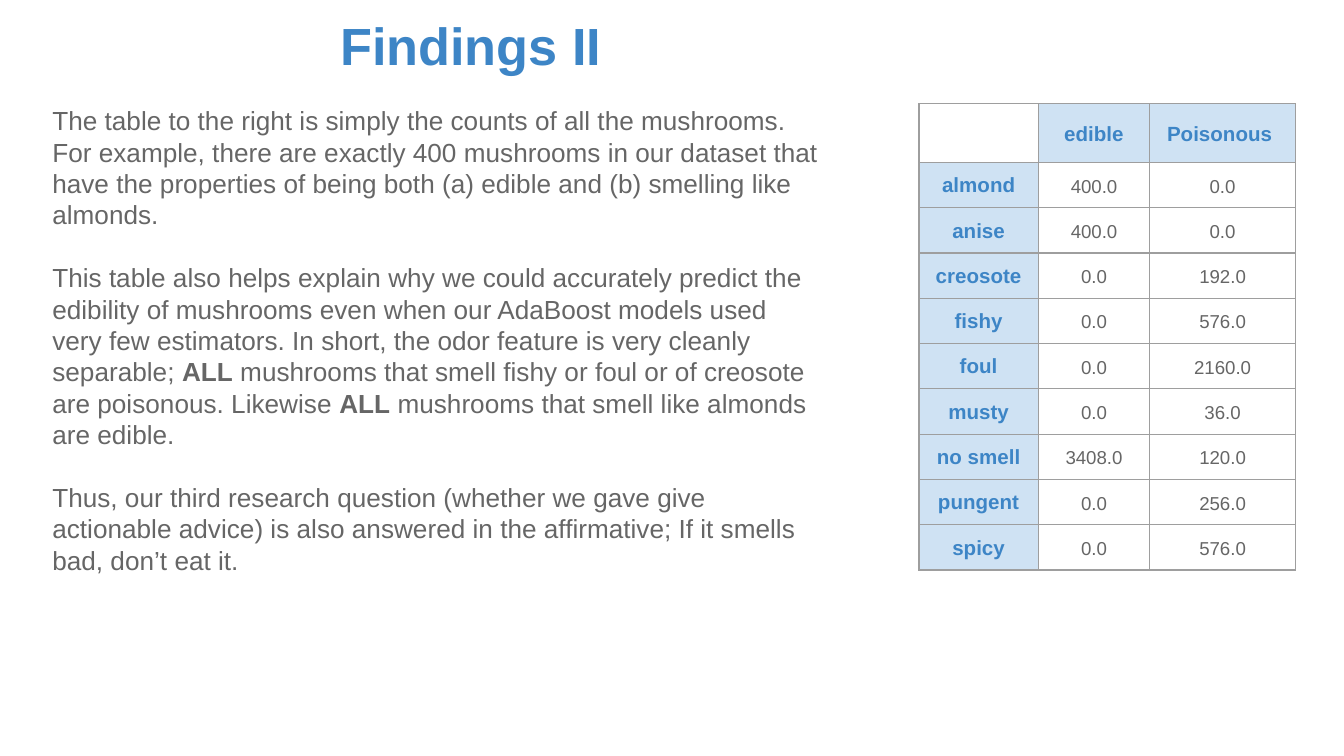
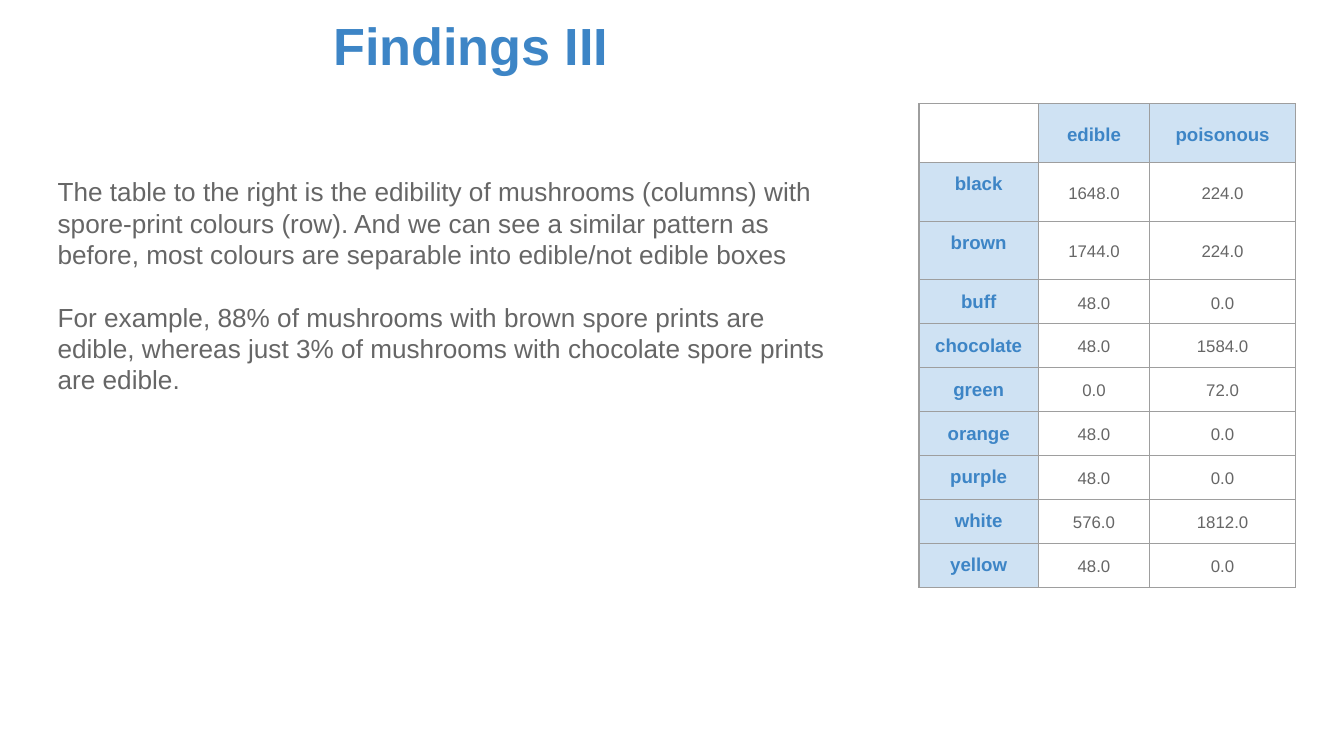
import dataclasses

import lxml.etree
import pptx
import pptx.dml.color
import pptx.enum.text
import pptx.oxml.ns
import pptx.util

Cm = pptx.util.Cm
Pt = pptx.util.Pt
PP_ALIGN = pptx.enum.text.PP_ALIGN
ANCHOR = pptx.enum.text.MSO_ANCHOR

FONT = "Arial"
BLUE = "3D85C6"
PALE_BLUE = "CFE2F3"
GREY = "666666"
BORDER = "9E9E9E"

COLUMN_WIDTHS = (2.25, 2.11, 2.75)
TALL_ROW = 1.11
SHORT_ROW = 0.83
CELL_MARGIN = 0.16
BOX_MARGIN = 0.25
BODY_SIZE = 14
PARAGRAPH_GAP = 16.8


@dataclasses.dataclass(frozen=True)
class Span:
    text: str
    bold: bool = False


@dataclasses.dataclass(frozen=True)
class CountTable:
    headings: tuple[str, str]
    counts: dict[str, tuple[float, float]]
    label_size: int
    count_size: int
    tall_rows: int


@dataclasses.dataclass(frozen=True)
class Finding:
    title: str
    body_left: float
    body_top: float
    body: list[list[Span]]
    table: CountTable


FINDINGS = [
    Finding(
        title="Findings II",
        body_left=0.74,
        body_top=1.73,
        body=[
            [Span("The table to the right is simply the counts of all the mushrooms. "
                  "For example, there are exactly 400 mushrooms in our dataset that "
                  "have the properties of being both (a) edible and (b) smelling like "
                  "almonds.")],
            [Span("This table also helps explain why we could accurately predict the "
                  "edibility of mushrooms even when our AdaBoost models used very few "
                  "estimators. In short, the odor feature is very cleanly separable; "),
             Span("ALL", bold=True),
             Span(" mushrooms that smell fishy or foul or of creosote are poisonous. "
                  "Likewise "),
             Span("ALL", bold=True),
             Span(" mushrooms that smell like almonds are edible.")],
            [Span("Thus, our third research question (whether we gave give actionable "
                  "advice) is also answered in the affirmative; If it smells bad, "
                  "don’t eat it.")],
        ],
        table=CountTable(
            headings=("edible", "Poisonous "),
            counts={
                "almond": (400, 0),
                "anise": (400, 0),
                "creosote": (0, 192),
                "fishy": (0, 576),
                "foul": (0, 2160),
                "musty": (0, 36),
                "no smell": (3408, 120),
                "pungent": (0, 256),
                "spicy": (0, 576),
            },
            label_size=11,
            count_size=10,
            tall_rows=1,
        ),
    ),
    Finding(
        title="Findings III",
        body_left=0.84,
        body_top=3.07,
        body=[
            [Span("The table to the right is the edibility of mushrooms (columns) with "
                  "spore-print colours (row). And we can see a similar pattern as "
                  "before, most colours are separable into edible/not edible boxes")],
            [Span("For example, 88% of mushrooms with brown spore prints are edible, "
                  "whereas just 3% of mushrooms with chocolate spore prints are "
                  "edible.")],
        ],
        table=CountTable(
            headings=("edible", "poisonous"),
            counts={
                "black": (1648, 224),
                "brown": (1744, 224),
                "buff": (48, 0),
                "chocolate": (48, 1584),
                "green": (0, 72),
                "orange": (48, 0),
                "purple": (48, 0),
                "white": (576, 1812),
                "yellow": (48, 0),
            },
            label_size=10,
            count_size=9,
            tall_rows=3,
        ),
    ),
]


def color(value: str) -> pptx.dml.color.RGBColor:
    """Turn a hex string into a colour."""
    return pptx.dml.color.RGBColor.from_string(value)


def add_span(para, span: Span, size: float, ink: str) -> None:
    """Append one formatted run to a paragraph."""
    run = para.add_run()
    run.text = span.text
    run.font.name = FONT
    run.font.size = Pt(size)
    run.font.bold = span.bold
    run.font.color.rgb = color(ink)


def set_margins(target, margin: float) -> None:
    """Give a text frame or cell the same margin on every side."""
    target.margin_left = target.margin_right = Cm(margin)
    target.margin_top = target.margin_bottom = Cm(margin)


def add_box(page, left: float, top: float, width: float, height: float):
    """Add a wrapping text box and return its text frame."""
    frame = page.shapes.add_textbox(Cm(left), Cm(top), Cm(width), Cm(height)).text_frame
    frame.word_wrap = True
    set_margins(frame, BOX_MARGIN)
    return frame


def add_title(page, text: str) -> None:
    """Add the centred slide title."""
    para = add_box(page, 0.43, 0, 16.94, 1.6).paragraphs[0]
    para.alignment = PP_ALIGN.CENTER
    add_span(para, Span(text, bold=True), 28, BLUE)


def add_body(page, finding: Finding) -> None:
    """Add the explanatory paragraphs."""
    frame = add_box(page, finding.body_left, finding.body_top, 15.09, 11.86)
    for index, spans in enumerate(finding.body):
        para = frame.add_paragraph() if index else frame.paragraphs[0]
        para.space_before = Pt(PARAGRAPH_GAP if index else 0)
        for span in spans:
            add_span(para, span, BODY_SIZE, GREY)


def add_borders(cell) -> None:
    """Draw a thin line on all four sides of a cell."""
    properties = cell._tc.get_or_add_tcPr()
    qn = pptx.oxml.ns.qn
    for index, side in enumerate(("a:lnL", "a:lnR", "a:lnT", "a:lnB")):
        line = lxml.etree.Element(qn(side), w=str(Pt(0.75)))
        fill = lxml.etree.SubElement(line, qn("a:solidFill"))
        lxml.etree.SubElement(fill, qn("a:srgbClr"), val=BORDER)
        properties.insert(index, line)


def fill_cell(cell, text: str, size: float, is_label: bool, anchor) -> None:
    """Write and format one label or count cell."""
    set_margins(cell, CELL_MARGIN)
    cell.vertical_anchor = anchor
    if is_label:
        cell.fill.solid()
        cell.fill.fore_color.rgb = color(PALE_BLUE)
    para = cell.text_frame.paragraphs[0]
    para.alignment = PP_ALIGN.CENTER
    para.line_spacing = 1.15
    para.space_before = Pt(9)
    add_span(para, Span(text, bold=is_label), size, BLUE if is_label else GREY)


def add_count_table(page, data: CountTable) -> None:
    """Add the table of mushroom counts."""
    rows = [("", *data.headings)]
    rows += [(label, *(f"{count:.1f}" for count in pair))
             for label, pair in data.counts.items()]
    heights = [TALL_ROW if index < data.tall_rows else SHORT_ROW
               for index in range(len(rows))]
    table = page.shapes.add_table(
        len(rows), len(COLUMN_WIDTHS), Cm(17.37), Cm(1.96),
        Cm(sum(COLUMN_WIDTHS)), Cm(sum(heights))).table
    table.first_row = table.horz_banding = False
    for column, width in zip(table.columns, COLUMN_WIDTHS):
        column.width = Cm(width)
    for row_index, texts in enumerate(rows):
        table.rows[row_index].height = Cm(heights[row_index])
        for column_index, text in enumerate(texts):
            cell = table.cell(row_index, column_index)
            cell.fill.background()
            if text:
                is_label = row_index == 0 or column_index == 0
                anchor = ANCHOR.MIDDLE if column_index else ANCHOR.TOP
                size = data.label_size if is_label else data.count_size
                fill_cell(cell, text, size, is_label, anchor)
            add_borders(cell)


def main() -> None:
    """Build the findings deck."""
    deck = pptx.Presentation()
    deck.slide_width = Cm(25.4)
    deck.slide_height = Cm(14.29)
    for finding in FINDINGS:
        page = deck.slides.add_slide(deck.slide_layouts[6])
        add_title(page, finding.title)
        add_count_table(page, finding.table)
        add_body(page, finding)
    deck.save("out.pptx")


if __name__ == "__main__":
    main()
